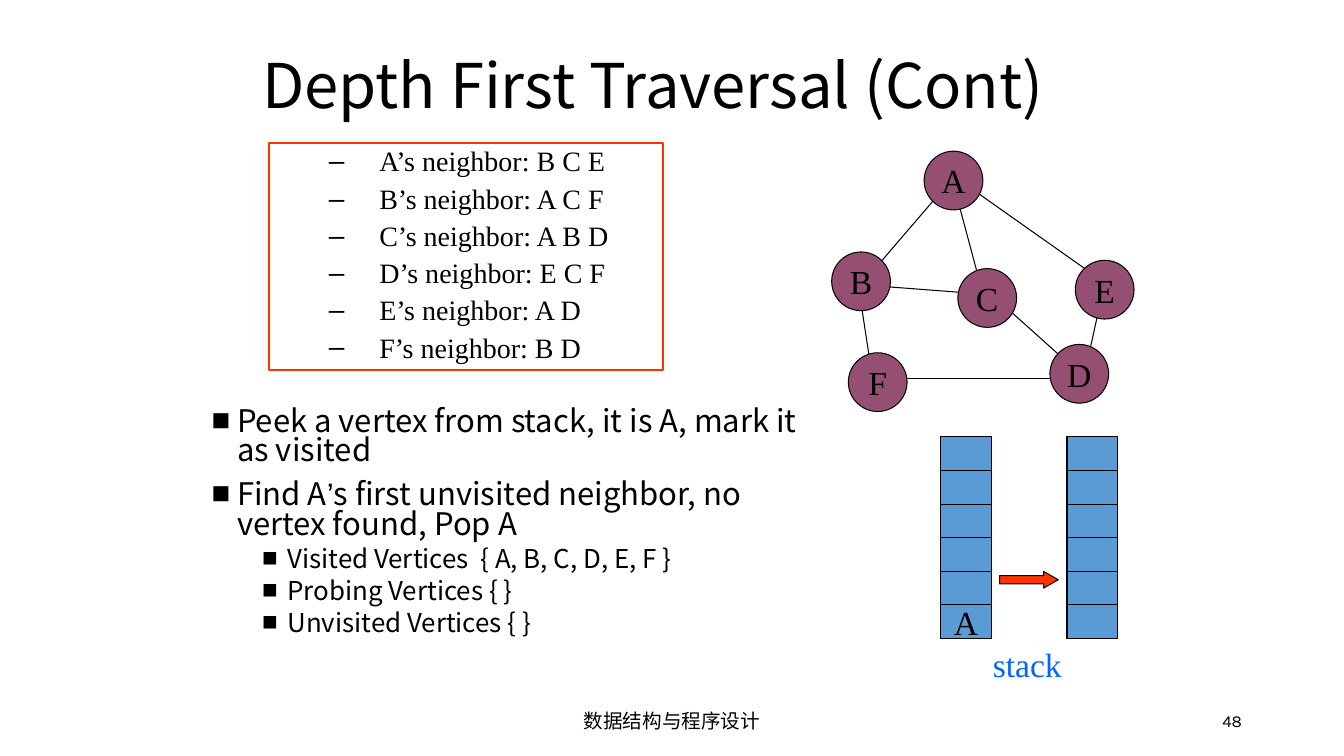
from lxml import etree
from pptx import Presentation
from pptx import util as u
from pptx.dml.color import RGBColor
from pptx.enum import shapes, text
from pptx.oxml import ns

BLACK = RGBColor(0x00, 0x00, 0x00)
RED = RGBColor(0xFF, 0x33, 0x00)
PLUM = RGBColor(0x95, 0x4F, 0x72)
BLUE = RGBColor(0x5B, 0x9B, 0xD5)
LABEL_BLUE = RGBColor(0x00, 0x66, 0xFF)
SANS, SERIF, SMALL_PRINT = "Noto Sans CJK SC", "Times New Roman", "Karla"

NEIGHBORS = {"A": "B C E", "B": "A C F", "C": "A B D", "D": "E C F", "E": "A D", "F": "B D"}
STEPS = [
    (0, ["Peek a vertex from stack, it is A, mark it as visited"]),
    (0, ["Find A", "’", "s first unvisited neighbor, no vertex found, Pop A"]),
    (1, ["Visited Vertices  { A, B, C, D, E, F }"]),
    (1, ["Probing Vertices { }"]),
    (1, ["Unvisited Vertices { }"]),
]
VERTICES = {
    "A": (2.33, 0), "B": (0, 2.54), "C": (3.18, 2.96),
    "E": (6.14, 2.75), "F": (0.42, 5.08), "D": (5.5, 4.87),
}
EDGES = [
    (1.06, 3.39, 3.81, 3.6), (2.54, 1.27, 1.27, 2.75),
    (2.96, 0.42, 3.81, 3.6), (3.39, 0.85, 6.99, 3.39),
    (0.64, 3.18, 1.06, 5.93), (6.77, 3.81, 6.35, 5.72),
    (4.02, 3.6, 6.14, 5.5), (1.48, 5.72, 5.93, 5.72),
]


def lengths(*values):
    """Turn centimetre values into lengths."""
    return [u.Cm(value) for value in values]


def move(holder, box):
    """Place a placeholder in the given box."""
    holder.left, holder.top, holder.width, holder.height = lengths(*box)


def style(paragraph, font, size, color=BLACK):
    """Format every run of a paragraph."""
    for run in paragraph.runs:
        run.font.name, run.font.size = font, u.Pt(size)
        run.font.color.rgb = color


def bullet(paragraph, mark, margin, hang):
    """Give a paragraph a bullet with a hanging indent."""
    props = paragraph._p.get_or_add_pPr()
    props.set("marL", str(u.Cm(margin)))
    props.set("indent", str(-u.Cm(hang)))
    etree.SubElement(props, ns.qn("a:buFont")).set("typeface", "Arial")
    etree.SubElement(props, ns.qn("a:buChar")).set("char", mark)


def add_label(slide, box, words, font, size, align, color=BLACK, anchor=text.MSO_ANCHOR.MIDDLE):
    """Add a one-line text box."""
    frame = slide.shapes.add_textbox(*lengths(*box)).text_frame
    frame.word_wrap, frame.vertical_anchor = True, anchor
    frame.text = words
    frame.paragraphs[0].alignment = align
    style(frame.paragraphs[0], font, size, color)


def add_figure(slide, kind, box, fill, letter=""):
    """Add an outlined shape with an optional centred letter."""
    figure = slide.shapes.add_shape(kind, *lengths(*box))
    figure.shadow.inherit = False
    figure.fill.solid()
    figure.fill.fore_color.rgb = fill
    figure.line.color.rgb, figure.line.width = BLACK, u.Pt(0.75)
    if letter:
        frame = figure.text_frame
        frame.word_wrap, frame.vertical_anchor = False, text.MSO_ANCHOR.MIDDLE
        frame.text = letter
        frame.paragraphs[0].alignment = text.PP_ALIGN.CENTER
        style(frame.paragraphs[0], SERIF, 24)
    return figure


def add_title(slide, box):
    """Fill the title placeholder."""
    title = slide.shapes.title
    move(title, box)
    frame = title.text_frame
    frame.text = "Depth First Traversal (Cont)"
    frame.auto_size, frame.vertical_anchor = text.MSO_AUTO_SIZE.NONE, text.MSO_ANCHOR.MIDDLE
    heading = frame.paragraphs[0]
    heading.alignment, heading.line_spacing = text.PP_ALIGN.LEFT, 0.9
    style(heading, SANS, 44)


def add_steps(slide, box):
    """Fill the body placeholder with the traversal steps."""
    body = slide.placeholders[1]
    move(body, box)
    frame = body.text_frame
    frame.auto_size = text.MSO_AUTO_SIZE.NONE
    for index, (level, pieces) in enumerate(STEPS):
        step = frame.add_paragraph() if index else frame.paragraphs[0]
        step.level, step.line_spacing = level, 0.8
        step.space_before = u.Pt(5 if level else 10)
        bullet(step, "■", 1.91 if level else 0.64, 0.64)
        for piece in pieces:
            step.add_run().text = piece
        style(step, SANS, 18.5 if level else 22.2)
        for run in step.runs:
            if run.text == "’":
                run.font.name = "Arial"


def add_neighbors(slide, box):
    """Add the framed list of neighbors."""
    panel = slide.shapes.add_shape(shapes.MSO_SHAPE.RECTANGLE, *lengths(*box))
    panel.shadow.inherit = False
    panel.fill.background()
    panel.line.color.rgb, panel.line.width = RED, u.Pt(1.5)
    frame = panel.text_frame
    frame.word_wrap, frame.vertical_anchor = True, text.MSO_ANCHOR.TOP
    frame.text = "\n".join(f"{vertex}’s neighbor: {near}" for vertex, near in NEIGHBORS.items())
    for row in frame.paragraphs:
        row.level, row.alignment = 1, text.PP_ALIGN.LEFT
        row.line_spacing, row.space_before = 0.9, u.Pt(5)
        bullet(row, "–", 2.54, 1.27)
        style(row, SERIF, 20)


def add_graph(slide, box):
    """Draw the edges and then the vertices over them."""
    left, top, diameter = box
    for x1, y1, x2, y2 in EDGES:
        ends = lengths(left + x1, top + y1, left + x2, top + y2)
        edge = slide.shapes.add_connector(shapes.MSO_CONNECTOR.STRAIGHT, *ends)
        edge.line.color.rgb, edge.line.width = BLACK, u.Pt(0.75)
        etree.SubElement(edge._element.spPr, ns.qn("a:effectLst"))
    for vertex, (x, y) in VERTICES.items():
        place = (left + x, top + y, diameter, diameter)
        add_figure(slide, shapes.MSO_SHAPE.OVAL, place, PLUM, vertex)


def add_stacks(slide, box):
    """Draw the stack before and after the pop."""
    left, top, width, height = box
    cell_width, cells = 1.27, 6
    cell_height = height / cells
    for x, bottom in ((left, "A"), (left + width - cell_width, "")):
        for row in range(cells):
            place = (x, top + row * cell_height, cell_width, cell_height)
            letter = bottom if row == cells - 1 else ""
            add_figure(slide, shapes.MSO_SHAPE.RECTANGLE, place, BLUE, letter)
    place = (left + 1.48, top + 3.39, 1.48, 0.42)
    pop = add_figure(slide, shapes.MSO_SHAPE.RIGHT_ARROW, place, RED)
    pop.adjustments[1] = 0.875
    add_label(slide, (left + 1.06, top + height, 2.33, 1.27), "stack", SERIF, 24,
              text.PP_ALIGN.LEFT, LABEL_BLUE, text.MSO_ANCHOR.TOP)


def add_footer(slide, box):
    """Add the course name and the page number."""
    left, top, width, height = box
    add_label(slide, (left, top, 11.43, height), "数据结构与程序设计", SMALL_PRINT, 14,
              text.PP_ALIGN.CENTER)
    add_label(slide, (left + width - 7.62, top, 7.62, height), "48", SMALL_PRINT, 12,
              text.PP_ALIGN.RIGHT)


def main():
    """Build and save the slide."""
    deck = Presentation()
    deck.slide_width, deck.slide_height = lengths(33.87, 19.05)
    slide = deck.slides.add_slide(deck.slide_layouts[1])
    add_footer(slide, (11.22, 17.66, 20.33, 1.01))
    add_title(slide, (6.35, 0.64, 21.59, 3.18))
    add_steps(slide, (5.08, 10.16, 15.44, 6.35))
    add_neighbors(slide, (6.77, 3.6, 9.95, 5.72))
    add_graph(slide, (20.96, 3.81, 1.48))
    add_stacks(slide, (23.71, 11.01, 4.45, 5.08))
    deck.save("out.pptx")


if __name__ == "__main__":
    main()
